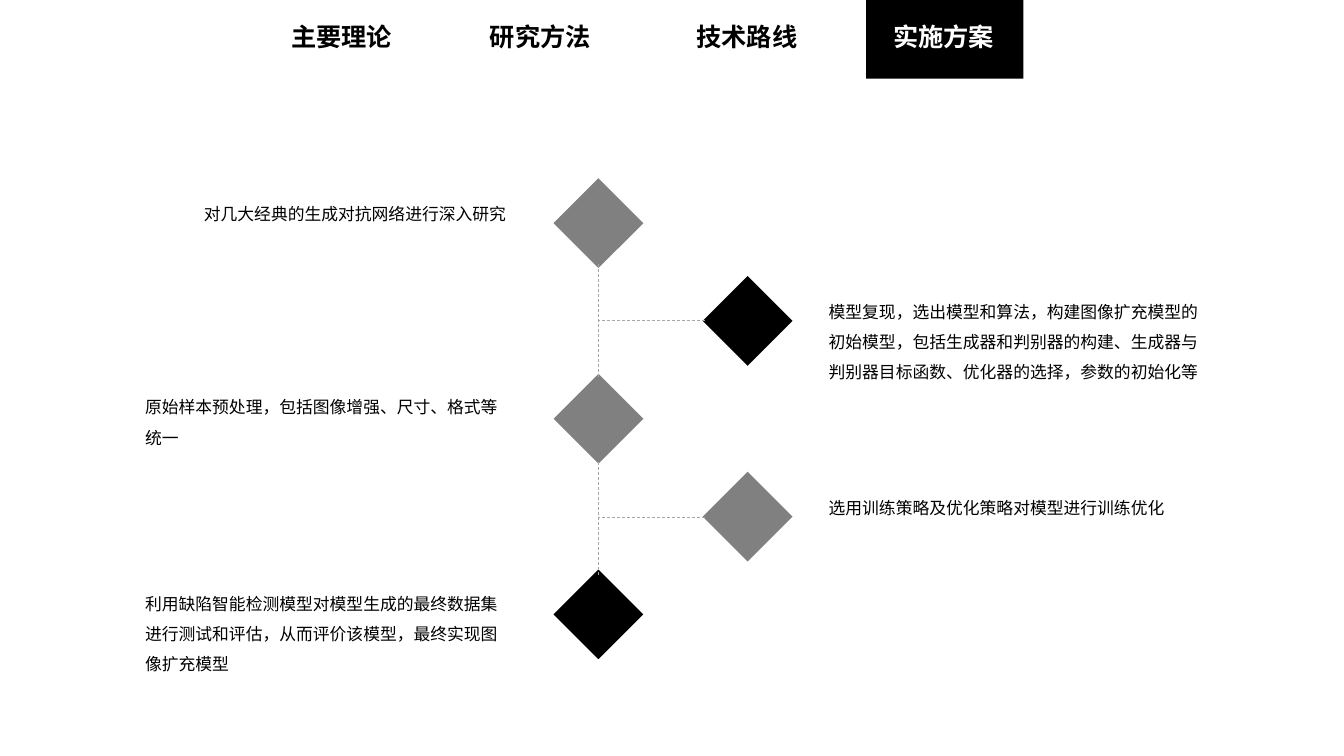
from dataclasses import dataclass

from lxml.etree import SubElement
from pptx import Presentation
from pptx.dml.color import RGBColor
from pptx.enum.dml import MSO_LINE
from pptx.enum.shapes import MSO_CONNECTOR as Link, MSO_SHAPE as Form
from pptx.enum.text import MSO_AUTO_SIZE as Fit, PP_ALIGN as Align
from pptx.oxml.ns import qn
from pptx.slide import Slide
from pptx.util import Inches, Pt

FONT = "Noto Sans CJK SC"
BLACK, GRAY, WHITE, DASH = "000000", "808080", "FFFFFF", "A6A6A6"
SIDE = 0.63
TOP, STEP = 1.9, 0.97
LEFT, RIGHT = 5.62, 7.1
STEM = 5.93


@dataclass
class Step:
    text: str
    fill: str
    x: float
    y: float
    width: float
    height: float
    align: Align = Align.LEFT


@dataclass
class Tab:
    text: str
    x: float
    width: float = 1.2
    wrap: bool = False
    color: str = BLACK


@dataclass
class Line:
    x1: float
    y1: float
    x2: float
    y2: float


STEPS = [
    Step("对几大经典的生成对抗网络进行深入研究", GRAY, 1.34, 1.87, 3.78, 0.4, Align.RIGHT),
    Step("模型复现，选出模型和算法，构建图像扩充模型的初始模型，包括生成器和判别器的构建、"
         "生成器与判别器目标函数、优化器的选择，参数的初始化等", BLACK, 8.12, 2.84, 3.95, 1.01),
    Step("原始样本预处理，包括图像增强、尺寸、格式等统一", GRAY, 1.34, 3.79, 3.78, 0.71),
    Step("选用训练策略及优化策略对模型进行训练优化", GRAY, 8.12, 4.79, 3.78, 0.4),
    Step("利用缺陷智能检测模型对模型生成的最终数据集进行测试和评估，"
         "从而评价该模型，最终实现图像扩充模型", BLACK, 1.34, 5.74, 3.78, 1.01),
]
TABS = [
    Tab("主要理论", 2.79),
    Tab("研究方法", 4.76),
    Tab("技术路线", 6.81, 1.44, True),
    Tab("实施方案", 8.76, color=WHITE),
]
LINES = [
    Line(STEM, 2.62, STEM, 3.75),
    Line(STEM, 4.58, STEM, 5.7),
    Line(6.99, 3.18, STEM, 3.18),
    Line(6.99, 5.13, STEM, 5.13),
]


def tint(code: str) -> RGBColor:
    return RGBColor.from_string(code)


def add_block(slide: Slide, x: float, y: float, width: float, height: float,
              fill: str, turn: float = 0) -> None:
    block = slide.shapes.add_shape(Form.RECTANGLE, Inches(x), Inches(y),
                                   Inches(width), Inches(height))
    block.rotation = turn
    block.shadow.inherit = False
    block.fill.solid()
    block.fill.fore_color.rgb = tint(fill)
    block.line.fill.background()


def add_line(slide: Slide, line: Line) -> None:
    link = slide.shapes.add_connector(Link.STRAIGHT, Inches(line.x1), Inches(line.y1),
                                      Inches(line.x2), Inches(line.y2))
    link.line.color.rgb = tint(DASH)
    link.line.width = Pt(0.5)
    link.line.dash_style = MSO_LINE.DASH
    SubElement(link._element.spPr, qn("a:effectLst"))


def add_text(slide: Slide, text: str, x: float, y: float, width: float, height: float,
             size: float, color: str = BLACK, bold: bool = False, wrap: bool = True,
             align: Align = Align.LEFT, space: float = 1.0) -> None:
    box = slide.shapes.add_textbox(Inches(x), Inches(y), Inches(width), Inches(height))
    frame = box.text_frame
    frame.word_wrap = wrap
    frame.auto_size = Fit.SHAPE_TO_FIT_TEXT
    para = frame.paragraphs[0]
    para.alignment = align
    para.line_spacing = space
    run = para.add_run()
    run.text = text
    run.font.name = FONT
    run.font.size = Pt(size)
    run.font.bold = bold
    run.font.color.rgb = tint(color)
    SubElement(run._r.get_or_add_rPr(), qn("a:ea")).set("typeface", FONT)


def main() -> None:
    deck = Presentation()
    deck.slide_width, deck.slide_height = Inches(13.33), Inches(7.5)
    slide = deck.slides.add_slide(deck.slide_layouts[6])
    for i, step in enumerate(STEPS):
        add_block(slide, RIGHT if i % 2 else LEFT, TOP + i * STEP, SIDE, SIDE, step.fill, 45)
    for line in LINES:
        add_line(slide, line)
    for step in STEPS:
        add_text(slide, step.text, step.x, step.y, step.width, step.height, 12,
                 align=step.align, space=1.5)
    add_block(slide, 8.59, -0.01, 1.56, 0.79, BLACK)
    for tab in TABS:
        add_text(slide, tab.text, tab.x, 0.16, tab.width, 0.4, 18, tab.color, True, tab.wrap)
    deck.save("out.pptx")


if __name__ == "__main__":
    main()
